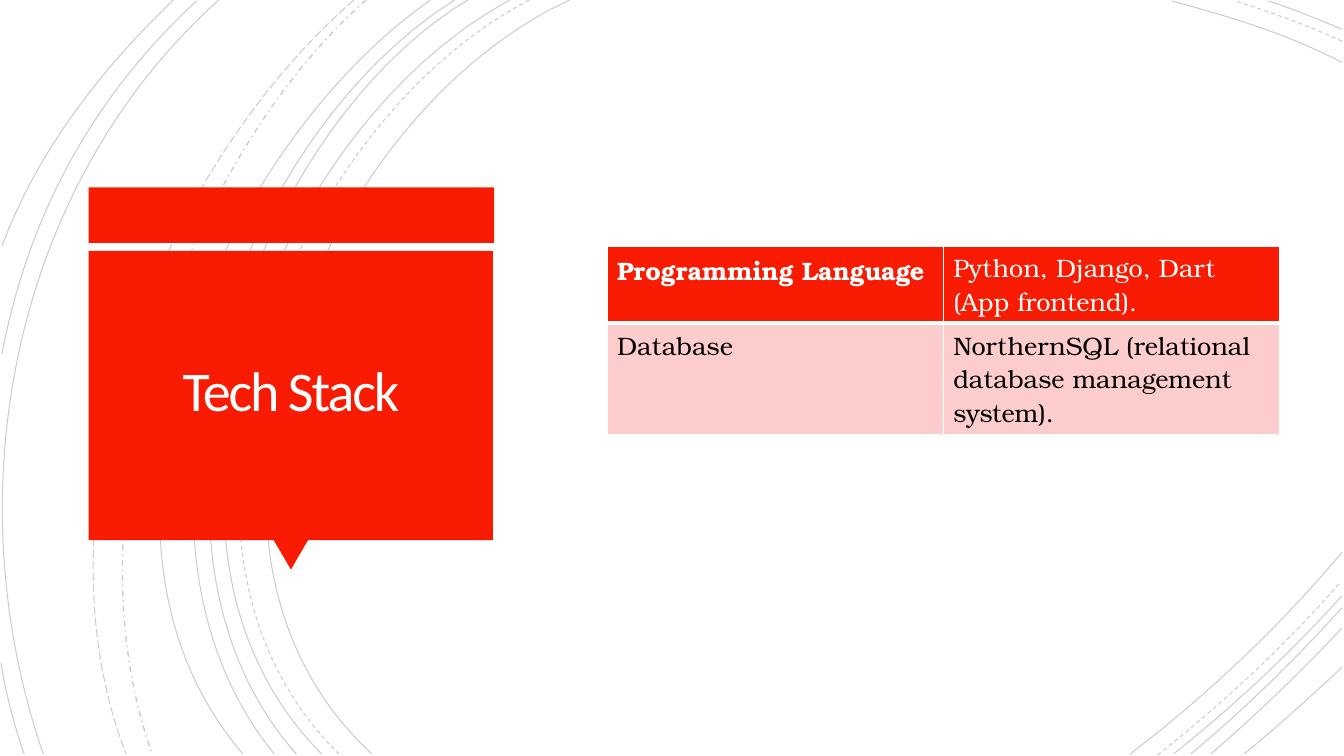
from lxml import etree
from pptx import Presentation
from pptx.dml.color import RGBColor
from pptx.enum.dml import MSO_LINE
from pptx.enum.shapes import MSO_SHAPE
from pptx.enum.text import MSO_ANCHOR, PP_ALIGN
from pptx.oxml.ns import qn
from pptx.util import Inches, Pt

RED = RGBColor(0xF8, 0x1B, 0x02)
PINK = RGBColor(0xFC, 0xCD, 0xCC)
WHITE = RGBColor(0xFF, 0xFF, 0xFF)
OFF_WHITE = RGBColor(0xFF, 0xFE, 0xFF)
BLACK = RGBColor(0, 0, 0)
SOLID, DASH = MSO_LINE.SOLID, MSO_LINE.DASH
DASH_DOT, LONG_DASH = MSO_LINE.DASH_DOT, MSO_LINE.LONG_DASH
RECT, TRIANGLE = MSO_SHAPE.RECTANGLE, MSO_SHAPE.ISOSCELES_TRIANGLE
CENTER, MIDDLE = PP_ALIGN.CENTER, MSO_ANCHOR.MIDDLE

# Background arcs: dash, width, then start, two control points and end
ARCS = [
    (SOLID, 0.75, (5.65, 0), (3.15, 1.15), (1.43, 5.4), (3.69, 7.48)),
    (SOLID, 0.75, (13.31, 0.62), (12.78, 0.34), (12.18, 0.16), (11.62, 0.01)),
    (SOLID, 0.75, (11.21, 7.48), (11.97, 6.9), (12.69, 6.22), (13.31, 5.48)),
    (DASH, 0.75, (5.25, 0), (2.85, 1.25), (1.23, 5.37), (3.36, 7.48)),
    (DASH, 0.75, (13.31, 0.41), (12.97, 0.25), (12.6, 0.12), (12.25, 0.01)),
    (DASH, 0.75, (11.48, 7.49), (12.13, 6.98), (12.75, 6.4), (13.3, 5.77)),
    (SOLID, 0.75, (5.06, 0), (2.7, 1.27), (1.1, 5.37), (3.19, 7.48)),
    (SOLID, 0.75, (13.31, 0.29), (13.07, 0.19), (12.83, 0.09), (12.58, 0.01)),
    (SOLID, 0.75, (11.64, 7.48), (12.23, 7.01), (12.8, 6.48), (13.31, 5.91)),
    (SOLID, 0.75, (4.64, 0), (2.44, 1.33), (1.1, 5.41), (2.94, 7.48)),
    (SOLID, 0.75, (11.81, 7.48), (12.34, 7.04), (12.84, 6.55), (13.31, 6.03)),
    (SOLID, 0.75, (4.51, 0), (2.31, 1.38), (0.97, 5.33), (2.72, 7.48)),
    (SOLID, 0.75, (12.01, 7.48), (12.46, 7.09), (12.9, 6.67), (13.31, 6.23)),
    (SOLID, 0.75, (4.27, 0), (2.17, 1.47), (0.53, 5.29), (2.41, 7.48)),
    (SOLID, 0.75, (12.34, 7.48), (12.67, 7.21), (12.99, 6.92), (13.31, 6.62)),
    (DASH_DOT, 1, (3.63, 0), (1.76, 1.66), (0.65, 5.09), (1.51, 7.48)),
    (LONG_DASH, 0.75, (3.51, 0), (1.57, 1.69), (0.29, 4.99), (1.25, 7.48)),
    (SOLID, 0.75, (2.17, 0), (0.11, 1.85), (-0.46, 4.9), (0.43, 7.48)),
    (SOLID, 0.75, (1.95, 0.01), (0.92, 0.96), (0.28, 2.14), (0.02, 3.51)),
    (SOLID, 0.75, (0.01, 6.58), (0.06, 6.89), (0.14, 7.19), (0.24, 7.48)),
    (SOLID, 0.75, (1.72, 0), (1, 0.69), (0.37, 1.5), (0.02, 2.44)),
]

# Cell text, bold and colours, by row
HEADER = {"fill": RED, "color": WHITE, "top": 1, "bottom": 3}
BODY = {"fill": PINK, "color": BLACK, "top": 3, "bottom": 1}
ROWS = [
    (HEADER, [("Programming Language", True),
              ("Python, Django, Dart (App frontend).", False)]),
    (BODY, [("Database", False),
            ("NorthernSQL (relational database management system).", False)]),
]


def set_all(obj, values):
    for name, value in values.items():
        setattr(obj, name, value)


def add_arc(s, dash, width, *points):
    start, *rest = [(Inches(x), Inches(y)) for x, y in points]
    builder = s.shapes.build_freeform(*start)
    builder.add_line_segments(rest, close=False)
    sp = builder.convert_to_shape()
    sp.shadow.inherit = False
    sp.fill.background()
    set_all(sp.line, {"width": Pt(width), "dash_style": dash})
    sp.line.color.rgb = BLACK
    # 20 % opacity
    color = sp.line._ln.find(".//" + qn("a:srgbClr"))
    etree.SubElement(color, qn("a:alpha")).set("val", "20000")
    # Turn the three segments into one cubic curve
    segments = list(sp._element.iter(qn("a:lnTo")))
    curve = etree.SubElement(segments[0].getparent(), qn("a:cubicBezTo"))
    for segment in segments:
        curve.append(segment[0])
        segment.getparent().remove(segment)


def add_block(s, kind, left, top, width, height, rotation=0):
    sp = s.shapes.add_shape(kind, *map(Inches, (left, top, width, height)))
    sp.shadow.inherit = False
    sp.rotation = rotation
    sp.fill.solid()
    sp.fill.fore_color.rgb = RED
    sp.line.fill.background()


def place_title(s, text):
    title = s.shapes.title
    title._element.getparent().append(title._element)  # in front of the panel
    set_all(title, {"left": Inches(0.97), "top": Inches(2.57),
                    "width": Inches(3.83), "height": Inches(2.69)})
    tf = title.text_frame
    set_all(tf, {"word_wrap": True, "vertical_anchor": MIDDLE})
    set_all(tf, {"margin_" + side: Inches(0.25)
                 for side in ("left", "top", "right", "bottom")})
    p = tf.paragraphs[0]
    set_all(p, {"alignment": CENTER, "line_spacing": 0.85})
    r = p.add_run()
    r.text = text
    set_all(r.font, {"size": Pt(40), "name": "Calibri", "bold": False})
    r.font.color.rgb = OFF_WHITE
    r.font._element.set("spc", "-150")


def add_border(cell, side, width):
    ln = etree.SubElement(cell._tc.get_or_add_tcPr(), qn("a:ln" + side))
    ln.set("w", str(Pt(width)))
    fill = etree.SubElement(ln, qn("a:solidFill"))
    etree.SubElement(fill, qn("a:srgbClr")).set("val", str(WHITE))


def fill_cell(cell, text, bold, style):
    for side, width in zip("LRTB", (1, 1, style["top"], style["bottom"])):
        add_border(cell, side, width)
    cell.fill.solid()
    cell.fill.fore_color.rgb = style["fill"]
    r = cell.text_frame.paragraphs[0].add_run()
    r.text = text
    set_all(r.font, {"size": Pt(18), "name": "TeX Gyre Bonum", "bold": bold})
    r.font.color.rgb = style["color"]


def add_stack_table(s):
    table = s.shapes.add_table(len(ROWS), 2, Inches(6.02), Inches(2.44),
                               Inches(6.67), Inches(1.3)).table
    for i, (style, cells) in enumerate(ROWS):
        for j, (text, bold) in enumerate(cells):
            fill_cell(table.cell(i, j), text, bold, style)


def main():
    prs = Presentation()
    set_all(prs, {"slide_width": Inches(13.33), "slide_height": Inches(7.5)})
    s = prs.slides.add_slide(prs.slide_layouts[5])

    # Background arcs
    for arc in ARCS:
        add_arc(s, *arc)

    # Title panel with its top bar and pointer
    add_block(s, RECT, 0.88, 1.86, 4.02, 0.55)
    add_block(s, TRIANGLE, 2.71, 5.35, 0.35, 0.3, 180)
    add_block(s, RECT, 0.88, 2.49, 4.01, 2.87)
    place_title(s, "Tech Stack")

    # Technology table
    add_stack_table(s)
    prs.save("out.pptx")


main()
